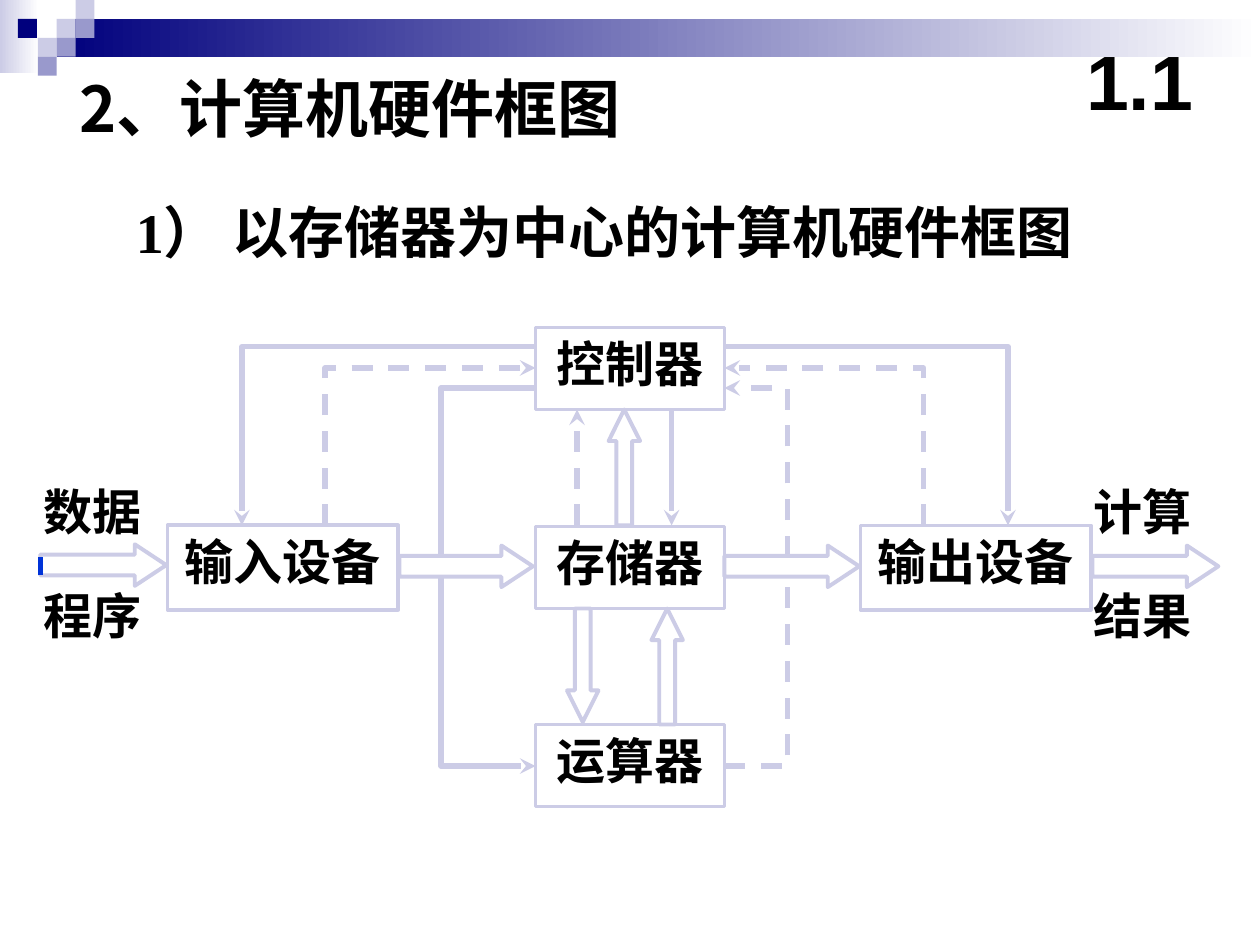
import lxml.etree
import pptx
import pptx.dml.color
import pptx.enum.dml
import pptx.enum.shapes
import pptx.enum.text
import pptx.oxml.ns
import pptx.util

Inches = pptx.util.Inches
Pt = pptx.util.Pt
RGB = pptx.dml.color.RGBColor.from_string
qn = pptx.oxml.ns.qn
Shape = pptx.enum.shapes.MSO_SHAPE
Align = pptx.enum.text.PP_ALIGN
Anchor = pptx.enum.text.MSO_ANCHOR


class Theme:
    black = RGB("000000")
    white = RGB("FFFFFF")
    navy = RGB("00007D")
    violet = RGB("9999CC")
    lavender = RGB("CCCCE6")
    blue = RGB("0033D8")
    cjk = "Noto Sans CJK SC"
    serif = "Times New Roman"
    sans = "Arial"
    number_size = Pt(44)
    title_size = Pt(36)
    heading_size = Pt(32)
    label_size = Pt(28)
    box_line = Pt(2)
    block_line = Pt(2.25)
    signal_line = Pt(3)


def write(shape, text, size, font=Theme.cjk, align=Align.LEFT, wrap=True, anchor=Anchor.TOP):
    """Put one bold black paragraph in the shape."""
    frame = shape.text_frame
    frame.word_wrap = wrap
    frame.vertical_anchor = anchor
    paragraph = frame.paragraphs[0]
    paragraph.text = text
    paragraph.alignment = align
    paragraph.font.size = size
    paragraph.font.bold = True
    paragraph.font.color.rgb = Theme.black
    paragraph.font.name = font
    properties = paragraph._p.pPr.find(qn("a:defRPr"))
    lxml.etree.SubElement(properties, qn("a:ea"), typeface=Theme.cjk)


def outline(shape, width):
    """Leave the shape unfilled, with a lavender line."""
    shape.shadow.inherit = False
    shape.fill.background()
    shape.line.color.rgb = Theme.lavender
    shape.line.width = width


presentation = pptx.Presentation()
presentation.slide_width = Inches(10)
presentation.slide_height = Inches(7.5)
slide = presentation.slides.add_slide(presentation.slide_layouts[6])
shapes = slide.shapes

# Header bands and squares
for left, top, width, height, color in [
    (0, 0, 0.31, 0.58, Theme.lavender),
    (0.45, 0.15, 9.55, 0.3, Theme.navy),
]:
    band = shapes.add_shape(Shape.RECTANGLE, Inches(left), Inches(top), Inches(width), Inches(height))
    band.shadow.inherit = False
    band.line.fill.background()
    band.fill.gradient()
    band.fill.gradient_angle = 0
    for stop, position, stop_color in zip(band.fill.gradient_stops, (0, 1), (color, Theme.white)):
        stop.position = position
        stop.color.rgb = stop_color

unit = 0.15
for column, row, color in [
    (3, 1, Theme.lavender),
    (4, 0, Theme.lavender),
    (4, 1, Theme.violet),
    (2, 2, Theme.lavender),
    (0.95, 1, Theme.navy),
    (3, 2, Theme.violet),
    (2, 3, Theme.violet),
]:
    square = shapes.add_shape(
        Shape.RECTANGLE, Inches(column * unit), Inches(row * unit), Inches(unit), Inches(unit))
    square.shadow.inherit = False
    square.fill.solid()
    square.fill.fore_color.rgb = color
    square.line.fill.background()

# Titles
title = shapes.add_textbox(Inches(0.53), Inches(0.5), Inches(7.05), Inches(0.7))
write(title, "2、计算机硬件框图", Theme.title_size)
number = shapes.add_textbox(Inches(8.42), Inches(0.17), Inches(1.25), Inches(0.92))
write(number, "1.1", Theme.number_size, Theme.sans, Align.CENTER, anchor=Anchor.MIDDLE)
heading = shapes.add_textbox(Inches(0.98), Inches(1.52), Inches(7.67), Inches(0.63))
write(heading, "1） 以存储器为中心的计算机硬件框图", Theme.heading_size, Theme.serif)

# Units of the computer
for text, left, top, width, height, line_width in [
    ("存储器", 4.25, 4.18, 1.5, 0.65, Theme.box_line),
    ("输出设备", 6.83, 4.17, 1.83, 0.67, Theme.box_line),
    ("输入设备", 1.33, 4.17, 1.83, 0.67, Theme.block_line),
    ("运算器", 4.25, 5.75, 1.5, 0.65, Theme.box_line),
    ("控制器", 4.25, 2.6, 1.5, 0.65, Theme.box_line),
]:
    box = shapes.add_shape(Shape.RECTANGLE, Inches(left), Inches(top), Inches(width), Inches(height))
    outline(box, line_width)
    write(box, text, Theme.label_size, align=Align.CENTER)

# Block arrows for data
for kind, left, top, width, height in [
    (Shape.RIGHT_ARROW, 0.32, 4.32, 1, 0.33),
    (Shape.RIGHT_ARROW, 3.17, 4.33, 1.06, 0.33),
    (Shape.RIGHT_ARROW, 5.75, 4.33, 1.07, 0.33),
    (Shape.RIGHT_ARROW, 8.67, 4.33, 1, 0.33),
    (Shape.UP_ARROW, 4.83, 3.25, 0.25, 0.92),
    (Shape.UP_ARROW, 5.17, 4.83, 0.25, 0.92),
    (Shape.DOWN_ARROW, 4.5, 4.83, 0.25, 0.9),
]:
    arrow = shapes.add_shape(kind, Inches(left), Inches(top), Inches(width), Inches(height))
    outline(arrow, Theme.block_line)
    arrow.adjustments[0] = 0.5
    arrow.adjustments[1] = 0.25 / min(width, height)

# Control (solid) and feedback (dashed) signals: points, dashed, arrowhead
for points, dashed, arrowhead in [
    ([(3.5, 4.42), (3.5, 3.08), (4.25, 3.08)], False, False),
    ([(3.5, 4.58), (3.5, 6.08), (4.25, 6.08)], False, True),
    ([(4.58, 4.17), (4.58, 3.25)], True, True),
    ([(5.33, 3.25), (5.33, 4.17)], False, True),
    ([(5.75, 6.08), (6.25, 6.08), (6.25, 4.58)], True, False),
    ([(6.25, 4.42), (6.25, 3.08), (5.75, 3.08)], True, True),
    ([(2.58, 4.17), (2.58, 2.92), (4.25, 2.92)], True, True),
    ([(4.25, 2.75), (1.92, 2.75), (1.92, 4.17)], False, True),
    ([(7.33, 4.17), (7.33, 2.92), (5.75, 2.92)], True, True),
    ([(5.75, 2.75), (8, 2.75), (8, 4.17)], False, True),
]:
    start, *others = [(Inches(x), Inches(y)) for x, y in points]
    if len(others) == 1:
        signal = shapes.add_connector(pptx.enum.shapes.MSO_CONNECTOR.STRAIGHT, *start, *others[0])
        lxml.etree.SubElement(signal._element.spPr, qn("a:ln"))
        signal.line.color.rgb = Theme.lavender
        signal.line.width = Theme.signal_line
        lxml.etree.SubElement(signal._element.spPr, qn("a:effectLst"))
    else:
        builder = shapes.build_freeform(*start)
        builder.add_line_segments(others, close=False)
        signal = builder.convert_to_shape()
        outline(signal, Theme.signal_line)
    if dashed:
        signal.line.dash_style = pptx.enum.dml.MSO_LINE.DASH
    if arrowhead:
        lxml.etree.SubElement(signal._element.spPr.find(qn("a:ln")), qn("a:tailEnd"), type="stealth")

# Input and output labels
for text, left, top in [
    ("数据", 0.25, 3.77),
    ("程序", 0.25, 4.6),
    ("计算", 8.58, 3.77),
    ("结果", 8.58, 4.6),
]:
    label = shapes.add_textbox(Inches(left), Inches(top), Inches(0.98), Inches(0.57))
    write(label, text, Theme.label_size, wrap=False)

# Blue mark at the start of the input arrow
mark = shapes.add_connector(
    pptx.enum.shapes.MSO_CONNECTOR.STRAIGHT, Inches(0.32), Inches(4.42), Inches(0.32), Inches(4.56))
mark.line.color.rgb = Theme.blue
mark.line.width = Theme.signal_line
lxml.etree.SubElement(mark._element.spPr, qn("a:effectLst"))

presentation.save("out.pptx")
